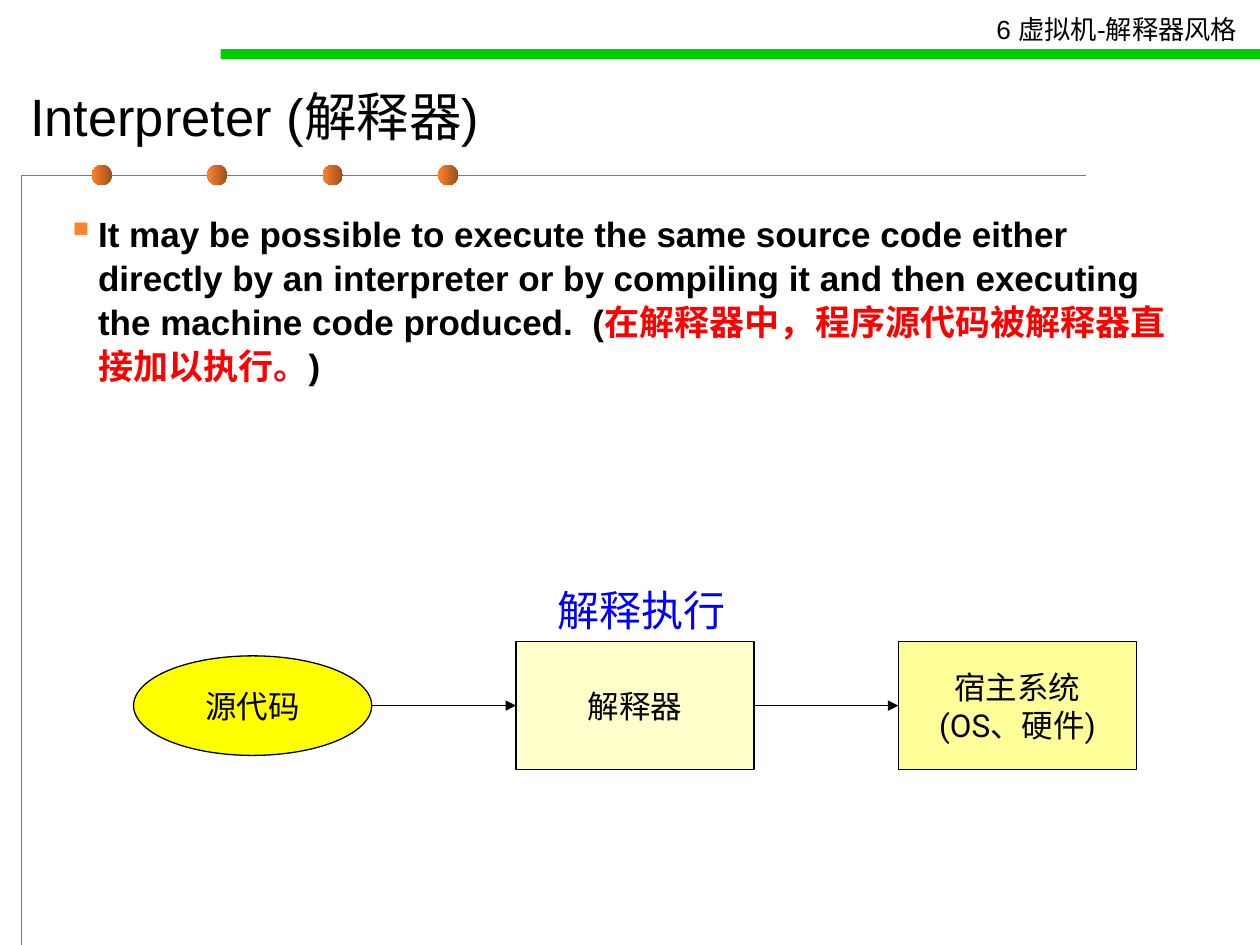
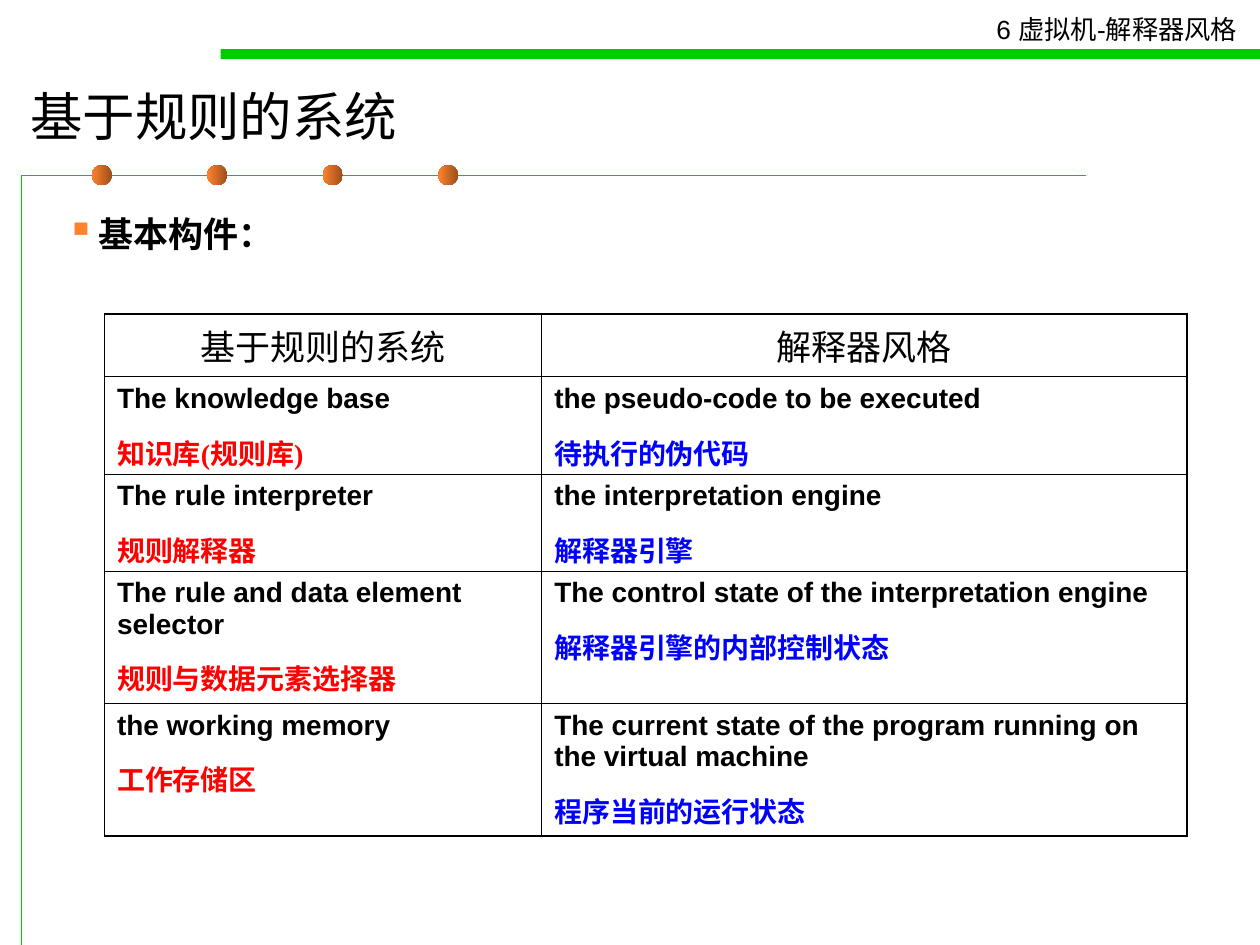
from lxml.etree import SubElement
from pptx import Presentation
from pptx.dml.color import RGBColor
from pptx.enum.shapes import MSO_CONNECTOR, MSO_SHAPE
from pptx.enum.text import MSO_ANCHOR, PP_ALIGN
from pptx.oxml.ns import qn
from pptx.util import Inches, Pt

BLACK = RGBColor(0x00, 0x00, 0x00)
RED = RGBColor(0xFF, 0x00, 0x00)
BLUE = RGBColor(0x00, 0x00, 0xFF)
GREEN = RGBColor(0x00, 0xCC, 0x00)
ORANGE = RGBColor(0xFF, 0x82, 0x2D)
BROWN = RGBColor(0x9A, 0x4E, 0x1B)
YELLOW = RGBColor(0xFF, 0xFF, 0x00)
CREAM = RGBColor(0xFF, 0xFF, 0xCC)
LEMON = RGBColor(0xFF, 0xFF, 0x99)

CHAPTER = "6 虚拟机-解释器风格"

INTERPRETER_TITLE = "Interpreter (解释器)"
INTERPRETER_POINT = [
    ("It may be possible to execute the same source code either directly by an "
     "interpreter or by compiling it and then executing the machine code produced.  (", {}),
    ("在解释器中，程序源代码被解释器直接加以执行。", {"font": "Times New Roman", "color": RED}),
    (")", {}),
]
FLOW_CAPTION = "解释执行"
FLOW_STEPS = [
    (MSO_SHAPE.OVAL, 0.79, YELLOW, ["源代码"]),
    (MSO_SHAPE.RECTANGLE, 1.02, CREAM, ["解释器"]),
    (MSO_SHAPE.RECTANGLE, 1.02, LEMON, ["宿主系统", "(OS、硬件)"]),
]

RULES_TITLE = "基于规则的系统"
RULES_POINT = "基本构件："
RULES_HEADER = ["基于规则的系统", "解释器风格"]
RULES_ROWS = [
    [("The knowledge base", "知识库(规则库)"),
     ("the pseudo-code to be executed", "待执行的伪代码")],
    [("The rule interpreter", "规则解释器"),
     ("the interpretation engine", "解释器引擎")],
    [("The rule and data element selector", "规则与数据元素选择器"),
     ("The control state of the interpretation engine", "解释器引擎的内部控制状态")],
    [("the working memory", "工作存储区"),
     ("The current state of the program running on the virtual machine", "程序当前的运行状态")],
]
TRANSLATION_STYLES = [
    {"font": "Times New Roman", "color": RED},
    {"font": "Arial", "color": BLUE},
]
COLUMN_WIDTHS = [3.47, 5.12]
ROW_HEIGHTS = [0.5, 0.77, 0.77, 1.05, 1.05]
OUTER_BORDER, INNER_BORDER = 1.08, 0.45


def write(frame, paragraphs, size=18, font="Arial", color=BLACK, bold=False,
          align=PP_ALIGN.LEFT, anchor=MSO_ANCHOR.TOP, wrap=True,
          before=0, after=0, spacing=None, bullet=None):
    if wrap is not None:
        frame.word_wrap = wrap
        frame.vertical_anchor = anchor
    for index, content in enumerate(paragraphs):
        paragraph = frame.paragraphs[0] if index == 0 else frame.add_paragraph()
        if bullet:
            add_bullet(paragraph, bullet)
        paragraph.alignment = align
        paragraph.space_before = Pt(before if index else 0)
        paragraph.space_after = Pt(after)
        if spacing:
            paragraph.line_spacing = spacing
        runs = [(content, {})] if isinstance(content, str) else content
        for text, style in runs:
            run = paragraph.add_run()
            run.text = text
            run.font.size = Pt(size)
            run.font.bold = bold
            run.font.name = style.get("font", font)
            run.font.color.rgb = style.get("color", color)


def add_bullet(paragraph, char):
    properties = paragraph._p.get_or_add_pPr()
    properties.set("marL", str(Inches(0.25)))
    properties.set("indent", str(-Inches(0.25)))
    bullet_color = SubElement(properties, qn("a:buClr"))
    SubElement(bullet_color, qn("a:srgbClr"), val=str(ORANGE))
    SubElement(properties, qn("a:buSzPct"), val="110000")
    SubElement(properties, qn("a:buChar"), char=char)


def add_text(slide, box, paragraphs, **style):
    frame = slide.shapes.add_textbox(*map(Inches, box)).text_frame
    write(frame, paragraphs, **style)


def add_filled(slide, kind, box, fill, outline=None):
    shape = slide.shapes.add_shape(kind, *map(Inches, box))
    shape.shadow.inherit = False
    shape.fill.solid()
    shape.fill.fore_color.rgb = fill
    if outline is None:
        shape.line.fill.background()
    else:
        shape.line.color.rgb = outline
        shape.line.width = Pt(0.75)
    return shape


def add_arrow(slide, start, end, y):
    arrow = slide.shapes.add_connector(
        MSO_CONNECTOR.STRAIGHT, Inches(start), Inches(y), Inches(end), Inches(y))
    arrow.line.color.rgb = BLACK
    arrow.line.width = Pt(0.75)
    SubElement(arrow.line._get_or_add_ln(), qn("a:tailEnd"), type="triangle")
    SubElement(arrow._element.spPr, qn("a:effectLst"))


def add_frame_line(slide):
    corner = [(0.17, 7.5), (0.17, 1.39), (8.62, 1.39)]
    points = [(Inches(x), Inches(y)) for x, y in corner]
    builder = slide.shapes.build_freeform(*points[0])
    builder.add_line_segments(points[1:], close=False)
    frame_line = builder.convert_to_shape()
    frame_line.shadow.inherit = False
    frame_line.fill.background()
    frame_line.line.color.rgb = GREEN
    frame_line.line.width = Pt(0.75)


def add_bead(slide, left):
    bead = add_filled(slide, MSO_SHAPE.OVAL, (left, 1.31, 0.16, 0.16), ORANGE)
    bead.fill.gradient()
    bead.fill.gradient_angle = 180
    for stop, color in zip(bead.fill.gradient_stops, (BROWN, ORANGE)):
        stop.color.rgb = color


def add_base_slide(deck, title, point):
    slide = deck.slides.add_slide(deck.slide_layouts[6])
    add_frame_line(slide)
    for index in range(4):
        add_bead(slide, 0.73 + index * 0.916)
    add_filled(slide, MSO_SHAPE.RECTANGLE, (1.75, 0.39, 8.25, 0.08), GREEN)
    add_text(slide, (7.81, 0.06, 2.26, 0.35), [CHAPTER], size=15, wrap=False)
    add_text(slide, (0.14, 0.56, 9.29, 0.71), [title], size=30, anchor=MSO_ANCHOR.MIDDLE)
    add_text(slide, (0.43, 1.62, 8.98, 5.59), [point], size=20, bold=True,
             after=3.7, spacing=1.05, bullet="▪")
    return slide


def add_flow(slide):
    first_left, width, pitch, middle = 1.06, 1.89, 3.035, 5.6
    for index, (kind, height, fill, lines) in enumerate(FLOW_STEPS):
        left = first_left + index * pitch
        step = add_filled(slide, kind, (left, middle - height / 2, width, height), fill, BLACK)
        write(step.text_frame, lines, font="Roboto", align=PP_ALIGN.CENTER,
              anchor=MSO_ANCHOR.MIDDLE, wrap=False)
        if index:
            add_arrow(slide, left - pitch + width, left, middle)
    add_text(slide, (4.33, 4.59, 1.53, 0.5), [FLOW_CAPTION], size=24, font="Roboto",
             color=BLUE, wrap=False)


def set_borders(cell, row, column):
    outer_sides = {
        "L": column == 0,
        "R": column == len(COLUMN_WIDTHS) - 1,
        "T": row == 0,
        "B": row == len(ROW_HEIGHTS) - 1,
    }
    properties = cell._tc.get_or_add_tcPr()
    for side, is_outer in outer_sides.items():
        width = Pt(OUTER_BORDER if is_outer else INNER_BORDER)
        border = SubElement(properties, qn(f"a:ln{side}"), w=str(width))
        fill = SubElement(border, qn("a:solidFill"))
        SubElement(fill, qn("a:srgbClr"), val=str(BLACK))
    cell.fill.background()


def add_rules_table(slide):
    table = slide.shapes.add_table(
        len(ROW_HEIGHTS), len(COLUMN_WIDTHS), Inches(0.83), Inches(2.49),
        Inches(sum(COLUMN_WIDTHS)), Inches(sum(ROW_HEIGHTS))).table
    table.first_row = table.horz_banding = False
    for column, width in zip(table.columns, COLUMN_WIDTHS):
        column.width = Inches(width)
    for row, height in zip(table.rows, ROW_HEIGHTS):
        row.height = Inches(height)
    for column, heading in enumerate(RULES_HEADER):
        write(table.cell(0, column).text_frame, [heading], size=20,
              align=PP_ALIGN.CENTER, after=3.7, wrap=None)
    for row, parts in enumerate(RULES_ROWS, start=1):
        for column, (english, chinese) in enumerate(parts):
            write(table.cell(row, column).text_frame,
                  [english, [(chinese, TRANSLATION_STYLES[column])]],
                  size=16, bold=True, before=7, after=3, wrap=None)
    for row in range(len(ROW_HEIGHTS)):
        for column in range(len(COLUMN_WIDTHS)):
            set_borders(table.cell(row, column), row, column)


def main():
    deck = Presentation()
    deck.slide_width, deck.slide_height = Inches(10), Inches(7.5)
    add_flow(add_base_slide(deck, INTERPRETER_TITLE, INTERPRETER_POINT))
    add_rules_table(add_base_slide(deck, RULES_TITLE, RULES_POINT))
    deck.save("out.pptx")


if __name__ == "__main__":
    main()
